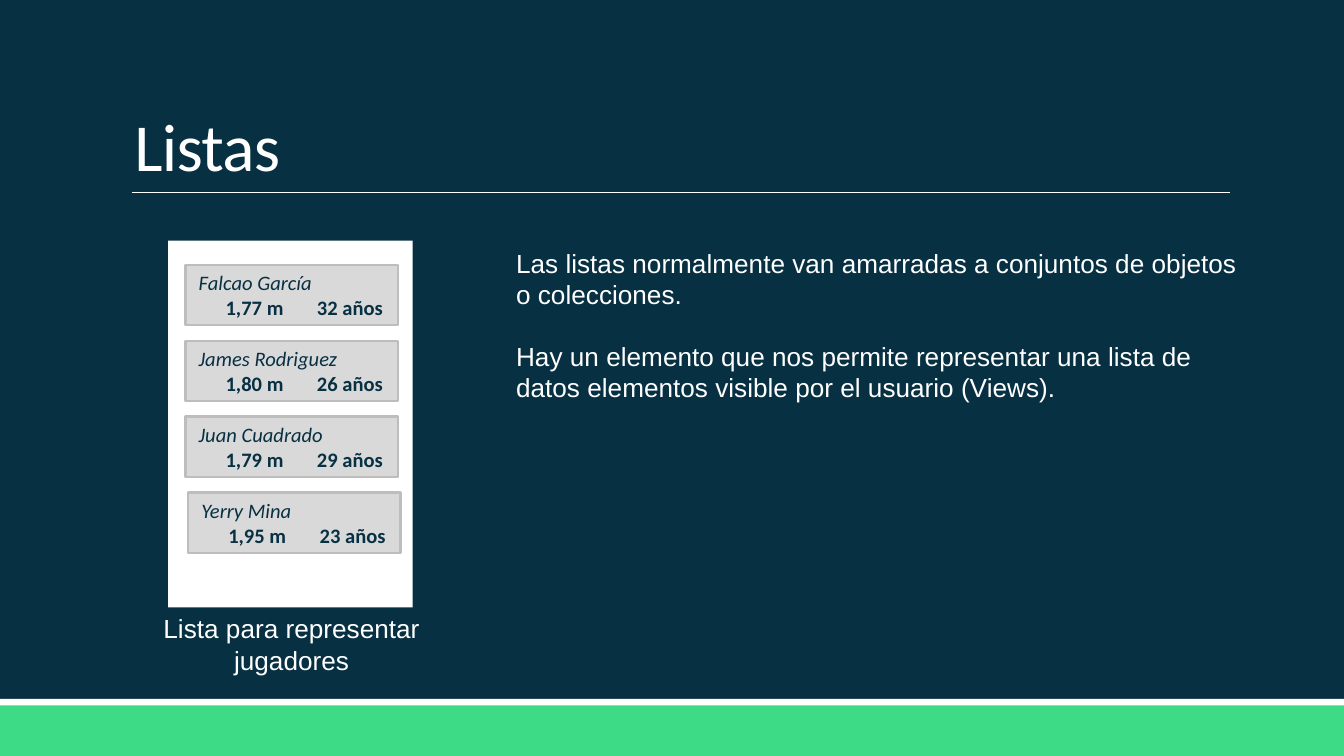
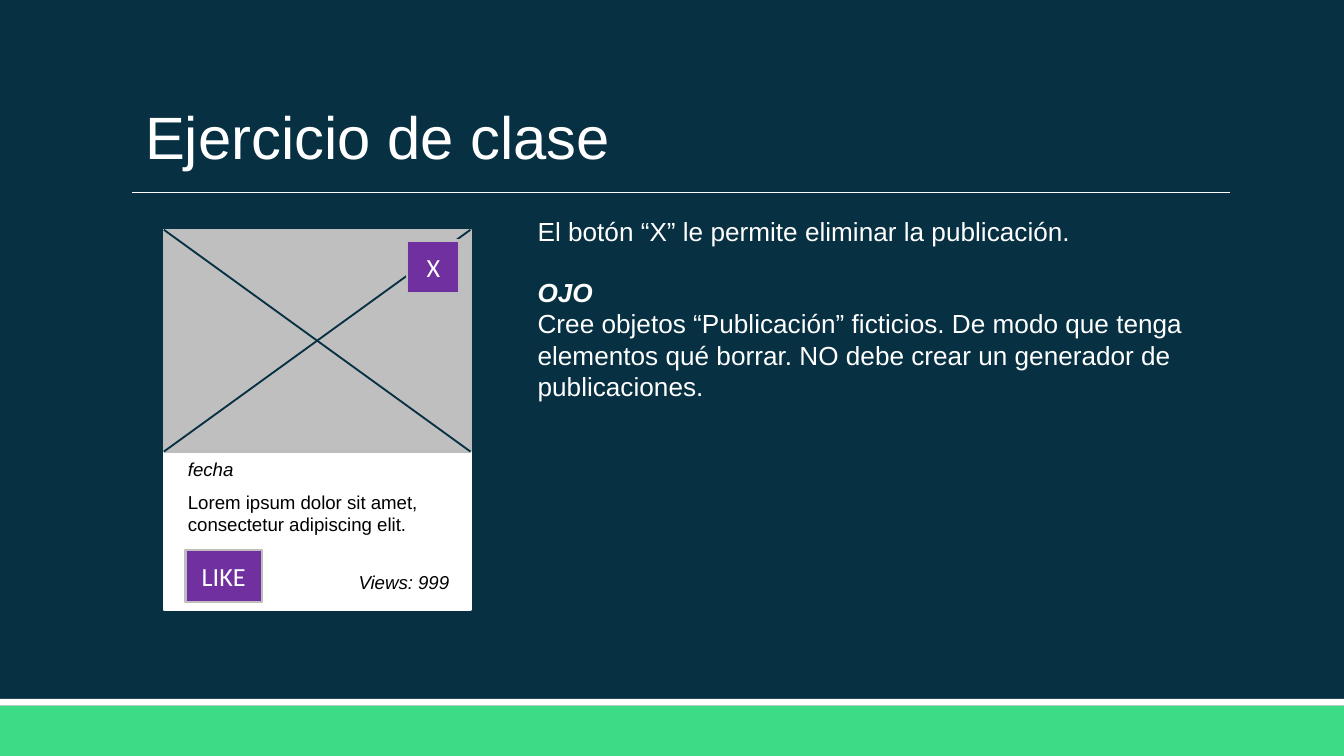
"""Builds two slides on lists and a class exercise, with a shared dark master."""
from lxml.etree import SubElement
from pptx import Presentation
from pptx.dml.color import RGBColor
from pptx.enum.shapes import MSO_CONNECTOR, MSO_SHAPE
from pptx.enum.text import MSO_ANCHOR as ANCHOR, MSO_AUTO_SIZE as AUTO_SIZE, PP_ALIGN as ALIGN
from pptx.oxml.ns import qn
from pptx.util import Pt

PX = 4572
COLORS = {
    "navy": "073042", "green": "3DDB85", "white": "FFFFFF", "black": "000000",
    "card": "D9D9D9", "edge": "BDBDBD", "photo": "BFBFBF", "purple": "7030A0",
}


def write(shape, lines, size=14, font="Arial", color="white", align=ALIGN.LEFT, anchor=ANCHOR.TOP,
          wrap=True, grow=False, line_spacing=None, spacing=None, tabs=(), plain=False):
    """Fill a shape with lines given as (text, style letters, points before)."""
    frame = shape.text_frame
    frame.word_wrap = wrap
    frame.vertical_anchor = anchor
    frame.auto_size = AUTO_SIZE.SHAPE_TO_FIT_TEXT if grow else AUTO_SIZE.NONE
    for index, (text, style, before) in enumerate(lines):
        paragraph = frame.add_paragraph() if index else frame.paragraphs[0]
        properties = paragraph._p.get_or_add_pPr()
        if plain:
            properties.set("marL", "0")
            properties.set("indent", "0")
            SubElement(properties, qn("a:buNone"))
        if tabs:
            tab_list = SubElement(properties, qn("a:tabLst"))
            for tab in tabs:
                SubElement(tab_list, qn("a:tab"), pos=str(tab * PX), algn="l")
        paragraph.alignment = align
        paragraph.space_before = Pt(before)
        if line_spacing:
            paragraph.line_spacing = line_spacing
        run = paragraph.add_run()
        run.text = text
        run.font.name = font
        run.font.size = Pt(size)
        run.font.bold = "b" in style
        run.font.italic = "i" in style
        run.font.color.rgb = RGBColor.from_string(COLORS[color])
        if spacing:
            run._r.get_or_add_rPr().set("spc", str(spacing))


def draw(slide, box, fill=None, line=None, width=1.25, straight=False):
    """Add a rectangle, or a straight line whose box holds its two end points."""
    lengths = [value * PX for value in box]
    if straight:
        shape = slide.shapes.add_connector(MSO_CONNECTOR.STRAIGHT, *lengths)
        SubElement(shape.element.spPr, qn("a:effectLst"))
    else:
        shape = slide.shapes.add_shape(MSO_SHAPE.RECTANGLE, *lengths)
        shape.shadow.inherit = False
        shape.fill.solid()
        shape.fill.fore_color.rgb = RGBColor.from_string(COLORS[fill])
    if line:
        shape.line.color.rgb = RGBColor.from_string(COLORS[line])
        shape.line.width = Pt(width)
    else:
        shape.line.fill.background()
    return shape


presentation = Presentation()
presentation.slide_width = 2000 * PX
presentation.slide_height = 1125 * PX
master = presentation.slide_master
master.background.fill.solid()
master.background.fill.fore_color.rgb = RGBColor.from_string(COLORS["navy"])

content_layout = presentation.slide_layouts.get_by_name("Title and Content")
lists_slide = presentation.slides.add_slide(content_layout)
exercise_slide = presentation.slides.add_slide(content_layout)

shared_shapes = [
    draw(lists_slide, (0, 1050, 2000, 75), "green"),
    draw(lists_slide, (0, 1040, 2000, 10), "white"),
    draw(lists_slide, (196, 286, 1830, 286), line="white", width=0.5, straight=True),
]
for shape_id, shape in enumerate(shared_shapes, start=20):
    shape.element.xpath(".//p:cNvPr")[0].set("id", str(shape_id))
    master.shapes.element.append(shape.element)

for slide, title_box, body_box in (
    (lists_slide, (180, 48, 1650, 238), (748, 358, 1118, 256)),
    (exercise_slide, (196, 138, 738, 128), (780, 310, 1024, 302)),
):
    for shape, box in zip(slide.placeholders, (title_box, body_box)):
        shape.left, shape.top, shape.width, shape.height = [value * PX for value in box]

write(lists_slide.shapes.title, [("Listas", "", 0)], size=36, font="Calibri",
      anchor=ANCHOR.BOTTOM, line_spacing=0.85, spacing=-40)
write(lists_slide.placeholders[1], [
    ("Las listas normalmente van amarradas a conjuntos de objetos o colecciones.", "", 0),
    ("Hay un elemento que nos permite representar una lista de datos elementos visible "
     "por el usuario (Views).", "", 16),
], grow=True, plain=True)

draw(lists_slide, (250, 358, 364, 546), "white")
players = [
    ("Falcao García", "1,77 m", "32 años", 276),
    ("James Rodriguez", "1,80 m", "26 años", 276),
    ("Juan Cuadrado", "1,79 m", "29 años", 276),
    ("Yerry Mina", "1,95 m", "23 años", 280),
]
for row, (name, height, age, left) in enumerate(players):
    card = draw(lists_slide, (left, 394 + row * 113, 316, 90), "card", "edge")
    write(card, [(name, "i", 0), (f"\t{height}\t{age}", "b", 0)], size=11, font="Calibri",
          color="navy", anchor=ANCHOR.MIDDLE, tabs=(40, 176))

caption = lists_slide.shapes.add_textbox(*[value * PX for value in (166, 902, 536, 114)])
write(caption, [("Lista para representar jugadores", "", 0)], align=ALIGN.CENTER, grow=True)

write(exercise_slide.shapes.title, [("Ejercicio de clase", "", 0)], size=32, wrap=False, grow=True)
write(exercise_slide.placeholders[1], [
    ("El botón “X” le permite eliminar la publicación.", "", 0),
    ("OJO", "bi", 16),
    ("Cree objetos “Publicación” ficticios. De modo que tenga elementos qué borrar. "
     "NO debe crear un generador de publicaciones.", "", 0),
], grow=True, plain=True)

draw(exercise_slide, (244, 342, 456, 566), "white", "white")
draw(exercise_slide, (244, 342, 456, 330), "photo", "edge")
for start, end in ((244, 700), (700, 244)):
    draw(exercise_slide, (start, 672, end, 342), line="navy", width=1, straight=True)

for label, box in (("X", (606, 358, 78, 78)), ("LIKE", (276, 818, 114, 78))):
    button = draw(exercise_slide, box, "purple", "edge")
    write(button, [(label, "", 0)], font="Calibri", align=ALIGN.CENTER, anchor=ANCHOR.MIDDLE,
          wrap=label != "LIKE")

for text, style, align, box in (
    ("fecha", "i", ALIGN.LEFT, (260, 672, 220, 54)),
    ("Lorem ipsum dolor sit amet, consectetur adipiscing elit.", "", ALIGN.LEFT, (260, 720, 426, 88)),
    ("Views: 999", "i", ALIGN.RIGHT, (468, 840, 220, 54)),
):
    label = exercise_slide.shapes.add_textbox(*[value * PX for value in box])
    write(label, [(text, style, 0)], size=10, color="black", align=align, grow=True)

presentation.save("out.pptx")
